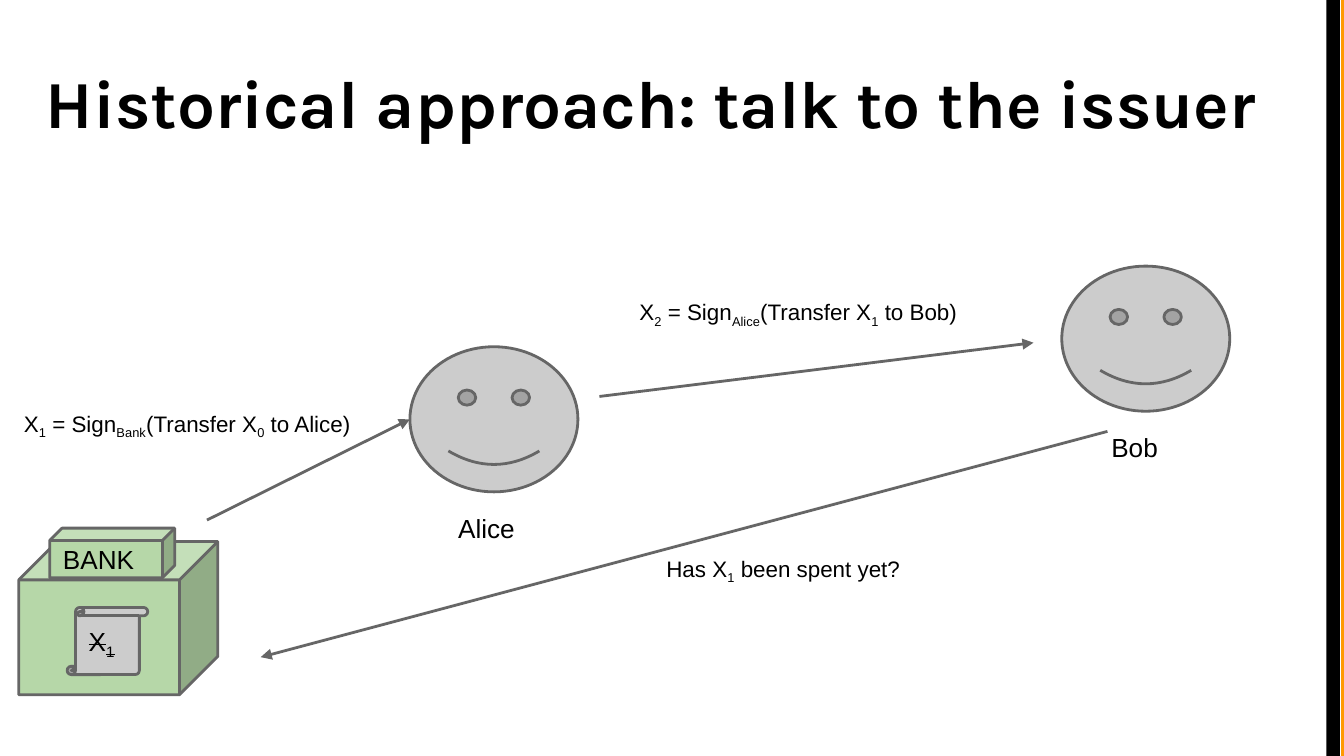
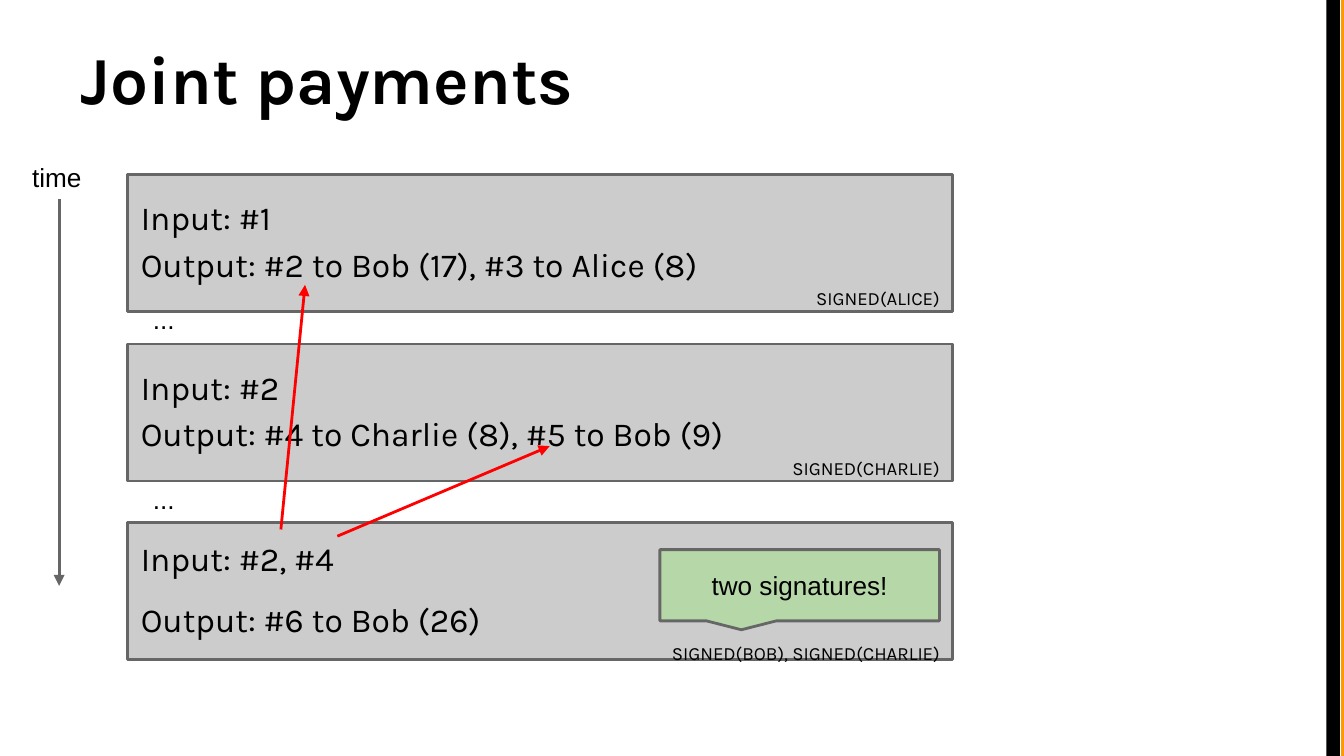
from lxml.etree import SubElement
from pptx import Presentation
from pptx.dml.color import RGBColor
from pptx.enum.shapes import MSO_CONNECTOR, MSO_SHAPE
from pptx.enum.text import MSO_ANCHOR, MSO_AUTO_SIZE, PP_ALIGN
from pptx.oxml.ns import qn
from pptx.util import Pt

PX = 9144  # 100 px to the inch
COLORS = {
    "black": "000000",
    "orange": "FF9900",
    "grey": "CCCCCC",
    "edge": "666666",
    "green": "B6D7A8",
    "red": "FF0000",
}
RGB = {name: RGBColor.from_string(code) for name, code in COLORS.items()}


def draw(slide, kind, area, fill=None, edge="edge"):
    """Add a preset shape, or a text box when kind is None; area is in px."""
    area = [n * PX for n in area]
    if kind is None:
        return slide.shapes.add_textbox(*area)
    shape = slide.shapes.add_shape(kind, *area)
    shape.shadow.inherit = False
    shape.fill.solid()
    shape.fill.fore_color.rgb = RGB[fill]
    if edge:
        shape.line.color.rgb = RGB[edge]
        shape.line.width = Pt(1.5)
    else:
        shape.line.fill.background()
    return shape


def write(shape, lines, size=14, font="Arial", anchor=MSO_ANCHOR.MIDDLE, bold=False):
    """Fill a shape with lines; every second part between bars is a subscript."""
    frame = shape.text_frame
    frame.word_wrap = True
    frame.auto_size = MSO_AUTO_SIZE.NONE
    frame.vertical_anchor = anchor
    frame.margin_left = frame.margin_right = 10 * PX
    frame.margin_top = frame.margin_bottom = 10 * PX
    for i, line in enumerate(lines):
        para = frame.add_paragraph() if i else frame.paragraphs[0]
        para.alignment = PP_ALIGN.LEFT
        for j, part in enumerate(line.split("|")):
            run = para.add_run()
            run.text = part
            run.font.size = Pt(size)
            run.font.name = font
            run.font.bold = bold
            run.font.color.rgb = RGB["black"]
            if j % 2:
                run._r.get_or_add_rPr().set("baseline", "-25000")
    return frame.paragraphs


deck = Presentation()
deck.slide_width = 1000 * PX
deck.slide_height = deck.slide_width * 9 // 16

# Titles and side bands
slides = []
for title, area in [
    ("Historical approach: talk to the issuer", (24, 22, 952, 94)),
    ("Joint payments", (50, 4, 900, 94)),
]:
    slide = deck.slides.add_slide(deck.slide_layouts[5])
    for left, color in [(998, "orange"), (987, "black")]:
        band = draw(slide, MSO_SHAPE.RECTANGLE, (left, 0, 10, 562), color, None)
        band.height = deck.slide_height
    head = slide.shapes.title
    head.left, head.top, head.width, head.height = [n * PX for n in area]
    write(head, [title], 36, "Karla", MSO_ANCHOR.BOTTOM, True)
    slides.append(slide)
issuer, joint = slides

# Slide 1: people, messages and the bank
for name, face, label in [
    ("Alice", (305, 258), (331, 371)),
    ("Bob", (790, 198), (817, 311)),
]:
    draw(issuer, MSO_SHAPE.SMILEY_FACE, (*face, 125, 108), "grey")
    write(draw(issuer, None, (*label, 72, 43)), [name], anchor=MSO_ANCHOR.TOP)

for left, top, text in [
    (8, 295, "X|1| = Sign|Bank|(Transfer X|0| to Alice)"),
    (466, 212, "X|2| = Sign|Alice|(Transfer X|1| to Bob)"),
    (486, 403, "Has X|1| been spent yet?"),
]:
    note = draw(issuer, None, (left, top, 274, 43))
    write(note, [text], 12, anchor=MSO_ANCHOR.TOP)

draw(issuer, MSO_SHAPE.CUBE, (14, 403, 148, 114), "green")
write(draw(issuer, MSO_SHAPE.CUBE, (37, 393, 93, 37), "green"), ["BANK"])
scroll = draw(issuer, MSO_SHAPE.VERTICAL_SCROLL, (50, 452, 60, 50), "grey")
for run in write(scroll, ["X|1"])[0].runs:
    run._r.get_or_add_rPr().set("strike", "sngStrike")

# Slide 2: the chain of payments
for top, gap, lines in [
    (130, 1.15, ["Input: #1", "Output: #2 to Bob (17), #3 to Alice (8)",
                 "SIGNED(ALICE)"]),
    (256, 1.15, ["Input: #2", "Output: #4 to Charlie (8), #5 to Bob (9)",
                 "SIGNED(CHARLIE)"]),
    (389, 1.5, ["Input: #2, #4", "Output: #6 to Bob (26)",
                "SIGNED(BOB), SIGNED(CHARLIE)"]),
]:
    block = draw(joint, MSO_SHAPE.RECTANGLE, (95, top, 614, 102), "grey")
    paras = write(block, lines, 18, "Karla")
    for para, space in zip(paras, (1.5, gap, 1.15)):
        para.line_spacing = space
    paras[-1].alignment = PP_ALIGN.RIGHT
    paras[-1].runs[0].font.size = Pt(10)

write(draw(joint, None, (14, 110, 65, 38)), ["time"], anchor=MSO_ANCHOR.TOP)
for top in (225, 359):
    write(draw(joint, None, (104, top, 37, 25)), ["..."])
callout = draw(joint, MSO_SHAPE.RECTANGULAR_CALLOUT, (491, 409, 208, 53), "green")
write(callout, ["two signatures!"])[0].alignment = PP_ALIGN.CENTER

# Arrows on both slides
for slide, color, ends in [
    (issuer, "edge", (446, 295, 769, 255)),
    (issuer, "edge", (154, 387, 305, 312)),
    (issuer, "edge", (824, 321, 194, 489)),
    (joint, "edge", (44, 148, 44, 436)),
    (joint, "red", (209, 394, 227, 212)),
    (joint, "red", (251, 399, 409, 332)),
]:
    arrow = slide.shapes.add_connector(MSO_CONNECTOR.STRAIGHT, *[n * PX for n in ends])
    arrow.line.color.rgb = RGB[color]
    arrow.line.width = Pt(1.5)
    SubElement(arrow.line._get_or_add_ln(), qn("a:tailEnd"), type="triangle")
    SubElement(arrow._element.spPr, qn("a:effectLst"))

deck.save("out.pptx")
